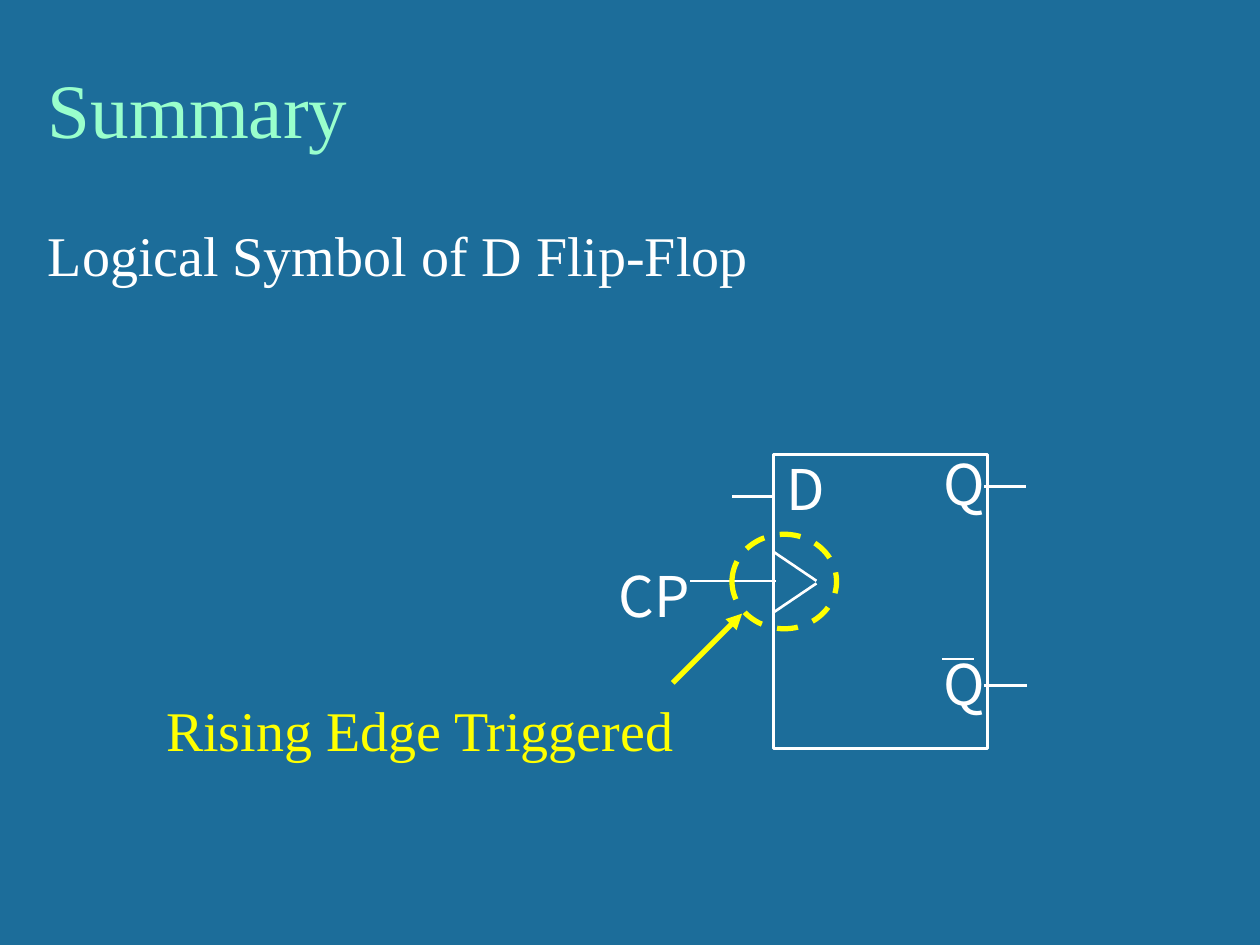
from lxml import etree
from pptx import Presentation
from pptx.dml.color import RGBColor
from pptx.enum.dml import MSO_LINE
from pptx.enum.shapes import MSO_CONNECTOR, MSO_SHAPE
from pptx.enum.text import MSO_ANCHOR, MSO_AUTO_SIZE, PP_ALIGN
from pptx.oxml.ns import qn
from pptx.util import Inches, Pt

BLUE = RGBColor(0x1C, 0x6D, 0x9A)
WHITE = RGBColor(0xFF, 0xFF, 0xFF)
YELLOW = RGBColor(0xFF, 0xFF, 0x00)
MINT = RGBColor(0x99, 0xFF, 0xCC)
SERIF = "Times New Roman"
SANS = "Noto Sans CJK SC"
DASH = MSO_LINE.DASH
RECT = MSO_SHAPE.RECTANGLE
OVAL = MSO_SHAPE.OVAL
STRAIGHT = MSO_CONNECTOR.STRAIGHT
BOTTOM = MSO_ANCHOR.BOTTOM
MIDDLE = MSO_ANCHOR.MIDDLE
LEFT = PP_ALIGN.LEFT
FIXED = MSO_AUTO_SIZE.NONE

PINS = [
    ((5.81, 3.94), (6.14, 3.94)),
    ((5.48, 4.61), (6.16, 4.61)),
    ((7.81, 3.86), (8.14, 3.86)),
    ((7.81, 5.44), (8.15, 5.44)),
]
WEDGE = [((6.14, 4.38), (6.48, 4.61)), ((6.14, 4.86), (6.48, 4.63))]
BAR = ((7.48, 5.23), (7.73, 5.23))
LABELS = [
    ("D", 6.14, 3.56, 0.42),
    ("Q", 7.39, 3.52, 0.42),
    ("Q", 7.39, 5.11, 0.42),
    ("CP", 4.81, 4.41, 1.02),
]


def style(para, font, size, color):
    para.alignment = LEFT
    for run in para.runs:
        run.font.name = font
        run.font.size = Pt(size)
        run.font.color.rgb = color
        east = etree.SubElement(run.font._element, qn("a:ea"))
        east.set("typeface", font)


def add_title(slide):
    title = slide.shapes.title
    title.left, title.top = Inches(0.28), Inches(0.41)
    title.width, title.height = Inches(9.58), Inches(1.92)
    frame = title.text_frame
    frame.text = "Summary\nLogical Symbol of D Flip-Flop"
    frame.auto_size = FIXED
    frame.vertical_anchor = BOTTOM
    head, sub = frame.paragraphs
    style(head, SERIF, 44, MINT)
    style(sub, SERIF, 32, WHITE)
    sub.space_before = Pt(38)


def add_shape(slide, kind, box, color, width):
    shape = slide.shapes.add_shape(kind, *map(Inches, box))
    shape.shadow.inherit = False
    shape.fill.background()
    shape.line.color.rgb = color
    shape.line.width = Pt(width)
    return shape


def add_line(slide, start, end, color=WHITE, width=1.5):
    line = slide.shapes.add_connector(STRAIGHT, *map(Inches, start + end))
    line.line.color.rgb = color
    line.line.width = Pt(width)
    etree.SubElement(line._element.spPr, qn("a:effectLst"))
    return line


def add_arrow(slide, start, end):
    arrow = add_line(slide, start, end, YELLOW, 3)
    tip = etree.SubElement(arrow.line._get_or_add_ln(), qn("a:tailEnd"))
    tip.set("type", "triangle")


def add_label(slide, text, box, font, color, wrap):
    frame = slide.shapes.add_textbox(*map(Inches, box)).text_frame
    frame.text = text
    frame.word_wrap = wrap
    frame.vertical_anchor = MIDDLE
    style(frame.paragraphs[0], font, 32, color)


def main():
    deck = Presentation()
    deck.slide_width, deck.slide_height = Inches(10), Inches(7.5)
    slide = deck.slides.add_slide(deck.slide_layouts[5])
    slide.background.fill.solid()
    slide.background.fill.fore_color.rgb = BLUE
    add_title(slide)
    add_shape(slide, RECT, (6.14, 3.61, 1.7, 2.33), WHITE, 1.5)
    for start, end in PINS + WEDGE + [BAR]:
        add_line(slide, start, end)
    for text, left, top, width in LABELS:
        add_label(slide, text, (left, top, width, 0.63), SANS, WHITE, False)
    ring = add_shape(slide, OVAL, (5.81, 4.24, 0.83, 0.75), YELLOW, 3)
    ring.line.dash_style = DASH
    add_arrow(slide, (5.34, 5.42), (5.89, 4.87))
    add_label(slide, "Rising Edge Triggered", (1.22, 5.47, 4.65, 0.64), SERIF, YELLOW, True)
    deck.save("out.pptx")


if __name__ == "__main__":
    main()
